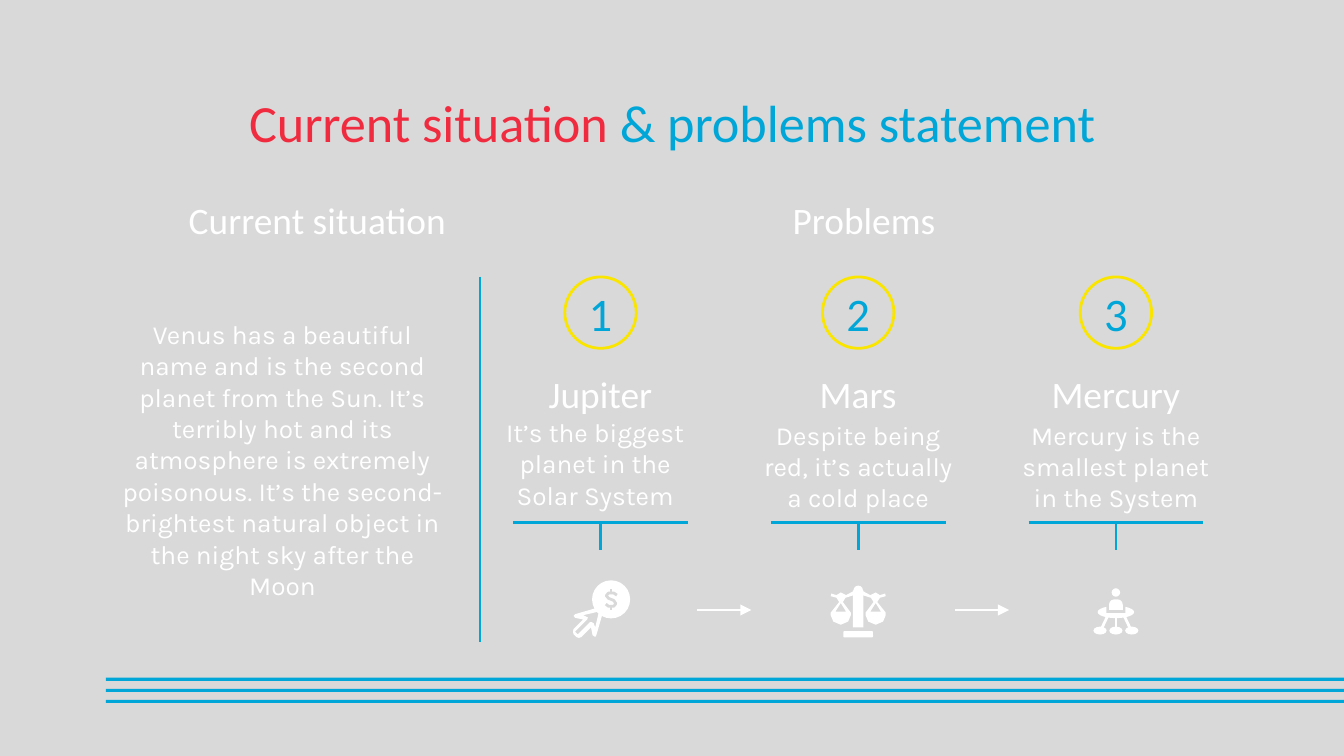
"""Build the slide on the current situation and the problems statement."""
from lxml.etree import SubElement
from pptx import Presentation
from pptx.dml.color import RGBColor
from pptx.enum.shapes import MSO_CONNECTOR, MSO_SHAPE
from pptx.enum.text import MSO_ANCHOR, MSO_AUTO_SIZE, PP_ALIGN
from pptx.oxml.ns import qn
from pptx.util import Cm, Pt

BACKGROUND = RGBColor(0xD9, 0xD9, 0xD9)
WHITE = RGBColor(0xFF, 0xFF, 0xFF)
BLUE = RGBColor(0x00, 0xA6, 0xD8)
RED = RGBColor(0xF0, 0x2B, 0x3F)
YELLOW = RGBColor(0xF9, 0xE5, 0x00)

HEADING_FONT = "Calibri"
BODY_FONT = "Karla"
FIRST_COLUMN = 11.35
COLUMN_STEP = 4.87
ICON_Y = 11.53

SITUATION = (
    "Venus has a beautiful name and is the second planet from the Sun. "
    "It’s terribly hot and its atmosphere is extremely poisonous. "
    "It’s the second-brightest natural object in the night sky after the Moon"
)
PROBLEMS = [
    ("Jupiter", "It’s the biggest planet in the Solar System", -0.1, 7.87),
    ("Mars", "Despite being red, it’s actually a cold place", 0, 7.92),
    ("Mercury", "Mercury is the smallest planet in the System", 0, 7.92),
]

CURSOR = [
    [(-10, -3), (-48, 8), (-51, 11), (-48, 15), (-33, 18), (-51, 36), (-52, 41),
     (-51, 46), (-46, 51), (-41, 53), (-36, 51), (-18, 33), (-15, 48), (-10, 51),
     (-8, 48), (3, 10)],
    [(-3, 3), (-10, 33), (-13, 25), (-17, 23), (-20, 23), (-43, 46), (-48, 41),
     (-25, 18), (-24, 14), (-33, 10)],
]
DOLLAR = [
    [(31, -28), (25, -32), (15, -32), (11, -27), (15, -22), (25, -18), (29, -12),
     (25, -7), (15, -7), (10, -11)],
    [(20, -39), (20, -32)],
    [(20, -7), (20, 0)],
]
SCALE_ARM = [
    [(-8, -36), (-23, -28), (-33, -33), (-41, -28), (-51, -31), (-52, -26),
     (-41, -23), (-36, -15), (-52, 5), (-52, 10), (-47, 22), (-33, 28), (-19, 22),
     (-14, 10), (-14, 5), (-29, -15), (-24, -23), (-8, -28)],
    [(-33, -13), (-23, 3), (-43, 3)],
]


def write_text(shape, runs, size, font, align=PP_ALIGN.CENTER):
    """Fill a shape with one paragraph of (text, colour) runs."""
    frame = shape.text_frame
    frame.word_wrap = True
    frame.auto_size = MSO_AUTO_SIZE.NONE
    frame.vertical_anchor = MSO_ANCHOR.MIDDLE
    frame.margin_left = frame.margin_right = Cm(0.25)
    frame.margin_top = frame.margin_bottom = Cm(0.25)
    paragraph = frame.paragraphs[0]
    paragraph.alignment = align
    for text, color in runs:
        run = paragraph.add_run()
        run.text = text
        run.font.size = Pt(size)
        run.font.name = font
        run.font.color.rgb = color


def add_text(slide, box, text, size, font, align=PP_ALIGN.CENTER):
    """Add a white text box at box, given in centimetres."""
    shape = slide.shapes.add_textbox(*map(Cm, box))
    write_text(shape, [(text, WHITE)], size, font, align)


def add_title(slide):
    """Place and format the two-colour title."""
    title = slide.shapes.title
    title.left, title.top, title.width, title.height = map(Cm, (2, 1.5, 21.4, 1.6))
    runs = [("Current situation ", RED), ("& problems statement", BLUE)]
    write_text(title, runs, 28, HEADING_FONT)


def add_line(shapes, start, end, color, arrow=False):
    """Add a straight line between two points in centimetres."""
    line = shapes.add_connector(MSO_CONNECTOR.STRAIGHT, *map(Cm, start + end))
    line.line.color.rgb = color
    line.line.width = Pt(1.5)
    if arrow:
        SubElement(line.line._get_or_add_ln(), qn("a:tailEnd"), type="triangle")
    SubElement(line._element.spPr, qn("a:effectLst"))


def add_filled(shapes, kind, middle, size, color):
    """Add a plain preset shape around its middle point."""
    (x, y), (width, height) = middle, size
    shape = shapes.add_shape(
        kind, Cm(x - width / 2), Cm(y - height / 2), Cm(width), Cm(height)
    )
    shape.shadow.inherit = False
    shape.fill.solid()
    shape.fill.fore_color.rgb = color
    shape.line.fill.background()
    return shape


def add_outline(shapes, contours, center, close=True):
    """Add a freeform from contours in hundredths of a centimetre."""
    builder = shapes.build_freeform(*contours[0][0], scale=Cm(0.01))
    builder.add_line_segments(contours[0][1:], close=close)
    for contour in contours[1:]:
        builder.move_to(*contour[0])
        builder.add_line_segments(contour[1:], close=close)
    shape = builder.convert_to_shape(Cm(center), Cm(ICON_Y))
    shape.shadow.inherit = False
    if close:
        shape.fill.solid()
        shape.fill.fore_color.rgb = WHITE
        shape.line.fill.background()
    else:
        shape.fill.background()
        shape.line.color.rgb = BACKGROUND
        shape.line.width = Pt(1.5)


def add_coin_icon(shapes, center):
    """Draw a pointer that clicks on a coin."""
    add_outline(shapes, CURSOR, center)
    add_filled(shapes, MSO_SHAPE.OVAL, (center + 0.2, ICON_Y - 0.2), (0.72, 0.72), WHITE)
    add_outline(shapes, DOLLAR, center, close=False)


def add_scales_icon(shapes, center):
    """Draw a pair of scales."""
    for side in (1, -1):
        arm = [[(side * x, y) for x, y in contour] for contour in SCALE_ARM]
        add_outline(shapes, arm, center)
    for kind, y, size in (
        (MSO_SHAPE.OVAL, -0.37, (0.18, 0.18)),
        (MSO_SHAPE.RECTANGLE, -0.02, (0.2, 0.7)),
        (MSO_SHAPE.ROUNDED_RECTANGLE, 0.46, (0.56, 0.12)),
    ):
        add_filled(shapes, kind, (center, ICON_Y + y), size, WHITE)


def add_team_icon(shapes, center):
    """Draw a person at a desk linked to three feet."""
    for kind, y, size, color in (
        (MSO_SHAPE.OVAL, -0.33, (0.16, 0.16), WHITE),
        (MSO_SHAPE.OVAL, 0.04, (0.69, 0.23), WHITE),
        (MSO_SHAPE.RECTANGLE, -0.01, (0.36, 0.13), BACKGROUND),
        (MSO_SHAPE.ROUND_2_SAME_RECTANGLE, -0.1, (0.26, 0.2), WHITE),
    ):
        shape = add_filled(shapes, kind, (center, ICON_Y + y), size, color)
    shape.adjustments[0] = 0.5
    for side in (-1, 0, 1):
        start = (center + 0.16 * side, ICON_Y + 0.12)
        add_line(shapes, start, (center + 0.27 * side, ICON_Y + 0.35), WHITE)
        foot = (center + 0.3 * side, ICON_Y + 0.39)
        add_filled(shapes, MSO_SHAPE.OVAL, foot, (0.25, 0.15), WHITE)


def add_problem(slide, number, center, name, text, shift, top):
    """Add one numbered problem with its bracket."""
    circle = add_filled(slide.shapes, MSO_SHAPE.OVAL, (center, 5.91), (1.35, 1.35), WHITE)
    circle.fill.background()
    circle.line.color.rgb = YELLOW
    circle.line.width = Pt(1.5)
    write_text(circle, [(str(number), BLUE)], 25, HEADING_FONT)
    left = center - 2.08
    add_text(slide, (left, 6.98, 4.16, 0.92), name, 20, HEADING_FONT)
    add_text(slide, (left + shift, top, 4.16, 1.78), text, 14, BODY_FONT)
    add_line(slide.shapes, (center - 1.65, 9.88), (center + 1.65, 9.88), BLUE)
    add_line(slide.shapes, (center, 9.88), (center, 10.39), BLUE)


def main():
    """Build and save the slide."""
    presentation = Presentation()
    presentation.slide_width, presentation.slide_height = Cm(25.4), Cm(14.29)
    slide = presentation.slides.add_slide(presentation.slide_layouts[5])
    slide.background.fill.solid()
    slide.background.fill.fore_color.rgb = BACKGROUND
    for row in range(3):
        middle = (13.7, 12.84 + 0.21 * row)
        add_filled(slide.shapes, MSO_SHAPE.RECTANGLE, middle, (23.4, 0.06), BLUE)
    add_title(slide)
    add_text(slide, (2, 3.48, 6.68, 1.35), "Current situation", 20, HEADING_FONT, PP_ALIGN.RIGHT)
    add_text(slide, (9.27, 3.48, 14.12, 1.35), "Problems", 20, HEADING_FONT)
    add_text(slide, (2, 5.23, 6.68, 6.91), SITUATION, 14, BODY_FONT)
    add_line(slide.shapes, (9.07, 5.23), (9.07, 12.14), BLUE)
    icons = (add_coin_icon, add_scales_icon, add_team_icon)
    for index, (problem, add_icon) in enumerate(zip(PROBLEMS, icons)):
        center = FIRST_COLUMN + COLUMN_STEP * index
        add_problem(slide, index + 1, center, *problem)
        add_icon(slide.shapes.add_group_shape().shapes, center)
        if index < len(PROBLEMS) - 1:
            start = (center + 1.83, ICON_Y)
            add_line(slide.shapes, start, (center + 2.85, ICON_Y), WHITE, arrow=True)
    presentation.save("out.pptx")


if __name__ == "__main__":
    main()
